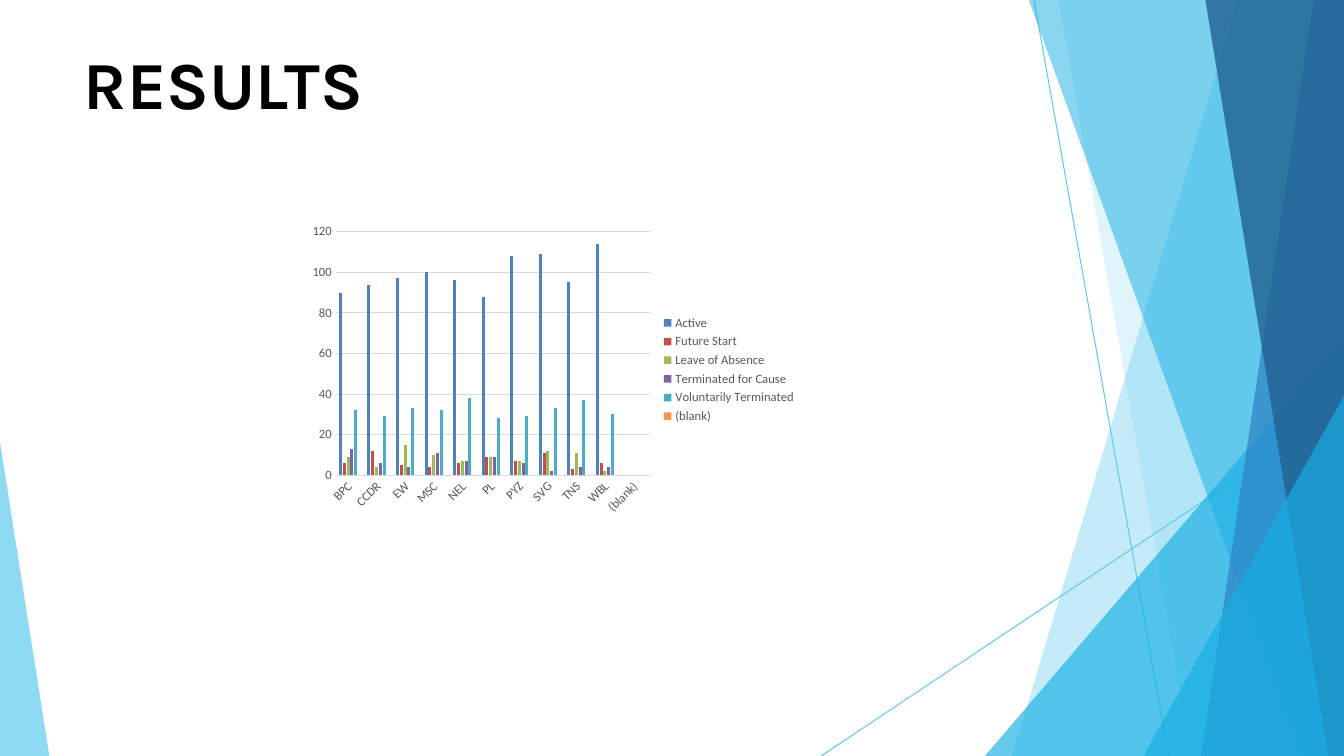
from dataclasses import dataclass

from lxml.etree import SubElement
from pptx import Presentation
from pptx.chart.data import CategoryChartData
from pptx.dml.color import RGBColor
from pptx.enum.chart import XL_CHART_TYPE, XL_LEGEND_POSITION, XL_TICK_MARK
from pptx.enum.shapes import MSO_CONNECTOR
from pptx.enum.text import MSO_ANCHOR
from pptx.oxml.ns import qn
from pptx.util import Pt

EMU_PER_PX = 9525
WIDTH, HEIGHT = 1280, 720
SKY, CYAN, BLUE, NAVY = "5FCAEE", "17AFE3", "2D83C3", "226192"
GREY, PALE_GREY = "595959", "D9D9D9"


@dataclass
class Ray:
    start: tuple[int, int]
    end: tuple[int, int]


@dataclass
class Facet:
    points: list[tuple[int, int]]
    color: str
    opacity: int


@dataclass
class Status:
    name: str
    color: str
    counts: list[int | None]


def right_band(top: int, bottom: int, color: str, opacity: int) -> Facet:
    """Facet between a slanted left edge and the right side of the page."""
    points = [(WIDTH, 0), (top, 0), (bottom, HEIGHT), (WIDTH, HEIGHT)]
    return Facet(points, color, opacity)


def right_corner(top: int, left: int, color: str, opacity: int) -> Facet:
    """Triangle in the bottom right corner of the page."""
    return Facet([(WIDTH, top), (left, HEIGHT), (WIDTH, HEIGHT)], color, opacity)


RAYS = [Ray((985, 1), (1113, HEIGHT)), Ray((WIDTH, 388), (782, HEIGHT))]
FACETS = [
    right_band(1179, 964, SKY, 36),
    right_band(1008, 1135, SKY, 20),
    right_corner(320, 938, CYAN, 66),
    right_band(980, 1239, CYAN, 50),
    right_band(1251, 1144, BLUE, 70),
    right_band(1148, 1265, NAVY, 80),
    right_corner(377, 1089, CYAN, 66),
    Facet([(0, 421), (0, HEIGHT), (47, HEIGHT)], SKY, 70),
]
DEPARTMENTS = ["BPC", "CCDR", "EW", "MSC", "NEL", "PL", "PYZ", "SVG", "TNS", "WBL", "(blank)"]
STATUSES = [
    Status("Active", "4F81BD", [90, 94, 97, 100, 96, 88, 108, 109, 95, 114, None]),
    Status("Future Start", "C0504D", [6, 12, 5, 4, 6, 9, 7, 11, 3, 6, None]),
    Status("Leave of Absence", "9BBB59", [9, 4, 15, 10, 7, 9, 7, 12, 11, 2, None]),
    Status("Terminated for Cause", "8064A2", [13, 6, 4, 11, 7, 9, 6, 2, 4, 4, None]),
    Status("Voluntarily Terminated", "4BACC6", [32, 29, 33, 32, 38, 28, 29, 33, 37, 30, None]),
    Status("(blank)", "F79646", [None] * len(DEPARTMENTS)),
]


def px(length: int) -> int:
    return length * EMU_PER_PX


def rgb(color: str) -> RGBColor:
    return RGBColor.from_string(color)


def set_line(line, color: str) -> None:
    line.color.rgb = rgb(color)
    line.width = Pt(0.75)


def set_font(font, size: int, color: str, name: str = "Calibri", bold: bool = False) -> None:
    font.size, font.name, font.bold = Pt(size), name, bold
    font.color.rgb = rgb(color)


def add_ray(page, ray: Ray) -> None:
    ends = [px(length) for length in (*ray.start, *ray.end)]
    connector = page.shapes.add_connector(MSO_CONNECTOR.STRAIGHT, *ends)
    set_line(connector.line, SKY)
    SubElement(connector._element.spPr, qn("a:effectLst"))


def add_facet(page, facet: Facet) -> None:
    builder = page.shapes.build_freeform(*facet.points[0], scale=EMU_PER_PX)
    builder.add_line_segments(facet.points[1:], close=True)
    shape = builder.convert_to_shape()
    shape.shadow.inherit = False
    shape.line.fill.background()
    shape.fill.solid()
    shape.fill.fore_color.rgb = rgb(facet.color)
    color_element = shape._element.spPr.find(f"{qn('a:solidFill')}/{qn('a:srgbClr')}")
    SubElement(color_element, qn("a:alpha"), val=str(facet.opacity * 1000))


def add_text(page, text: str, *, left: int, top: int, width: int, height: int,
             size: int, color: str, font: str, bold: bool = False) -> None:
    box = page.shapes.add_textbox(px(left), px(top), px(width), px(height))
    frame = box.text_frame
    frame.word_wrap = True
    frame.vertical_anchor = MSO_ANCHOR.TOP
    frame.margin_left = frame.margin_right = frame.margin_top = frame.margin_bottom = 0
    span = frame.paragraphs[0].add_run()
    span.text = text
    set_font(span.font, size, color, font, bold)


def style_axis(axis) -> None:
    axis.major_tick_mark = axis.minor_tick_mark = XL_TICK_MARK.NONE
    set_font(axis.tick_labels.font, 9, GREY)


def add_status_chart(page, left: int, top: int, width: int, height: int) -> None:
    data = CategoryChartData()
    data.categories = DEPARTMENTS
    for status in STATUSES:
        data.add_series(status.name, status.counts)
    frame = page.shapes.add_chart(
        XL_CHART_TYPE.COLUMN_CLUSTERED, px(left), px(top), px(width), px(height), data)
    chart = frame.chart
    chart.has_title = False
    set_font(chart.font, 10, "000000")

    plot = chart.plots[0]
    plot.gap_width, plot.overlap, plot.vary_by_categories = 219, -27, False
    for series, status in zip(plot.series, STATUSES):
        series.invert_if_negative = False
        series.format.fill.solid()
        series.format.fill.fore_color.rgb = rgb(status.color)

    style_axis(chart.category_axis)
    set_line(chart.category_axis.format.line, PALE_GREY)
    style_axis(chart.value_axis)
    chart.value_axis.format.line.fill.background()
    set_line(chart.value_axis.major_gridlines.format.line, PALE_GREY)

    chart.has_legend = True
    chart.legend.position = XL_LEGEND_POSITION.RIGHT
    chart.legend.include_in_layout = False
    set_font(chart.legend.font, 9, GREY)


def main() -> None:
    deck = Presentation()
    deck.slide_width, deck.slide_height = px(WIDTH), px(HEIGHT)
    page = deck.slides.add_slide(deck.slide_layouts[6])
    for ray in RAYS:
        add_ray(page, ray)
    for facet in FACETS:
        add_facet(page, facet)
    add_text(page, "RESULTS", left=80, top=40, width=1121, height=80,
             size=48, color="000000", font="Karla", bold=True)
    add_status_chart(page, left=288, top=208, width=480, height=288)
    deck.save("out.pptx")


if __name__ == "__main__":
    main()
